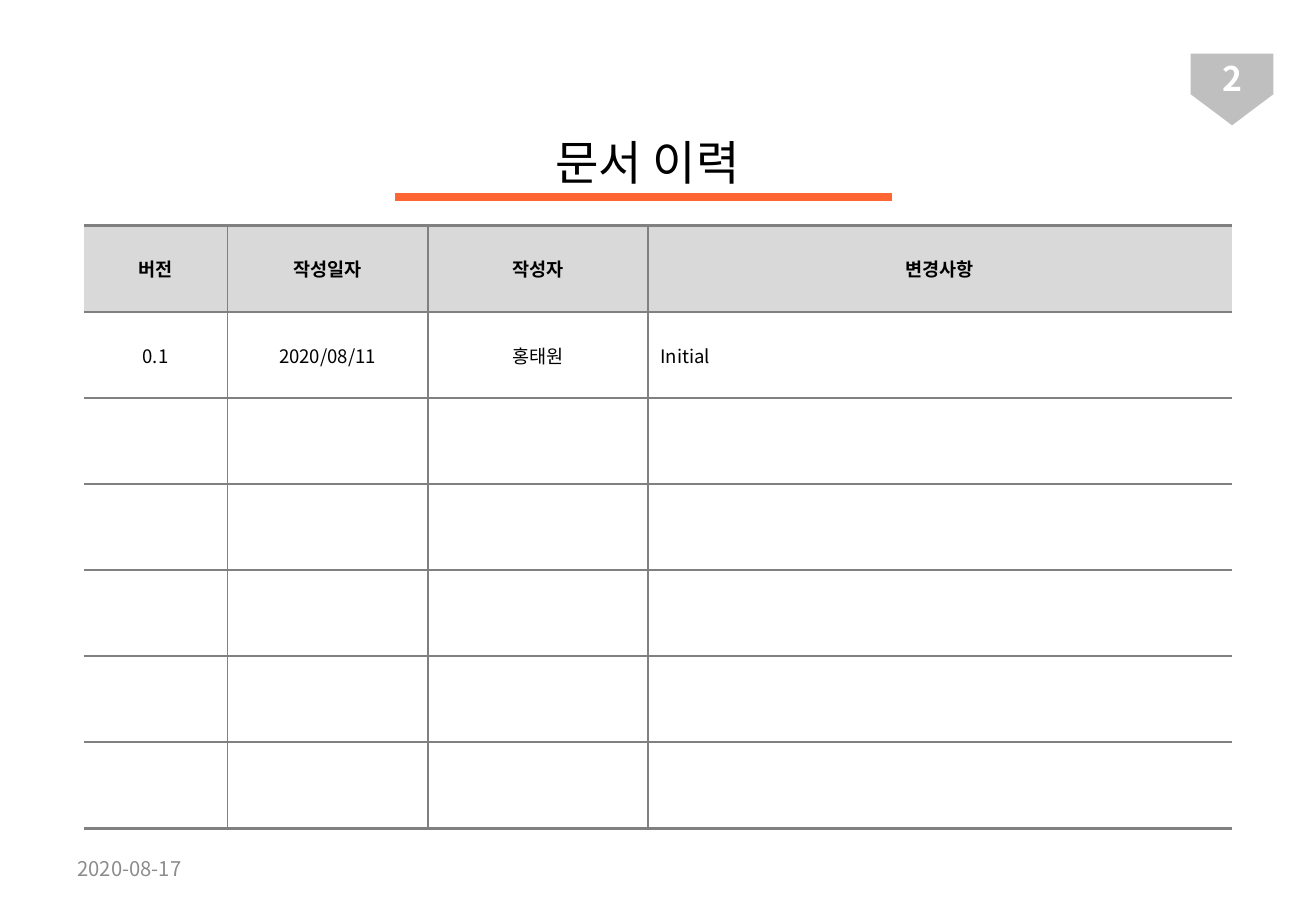
from dataclasses import dataclass

from lxml.etree import SubElement
from pptx import Presentation
from pptx.dml.color import RGBColor
from pptx.enum.shapes import MSO_CONNECTOR, MSO_SHAPE
from pptx.enum.text import MSO_ANCHOR, PP_ALIGN
from pptx.oxml.ns import qn
from pptx.util import Cm, Pt


@dataclass(frozen=True)
class Theme:
    font: str = "Noto Sans CJK KR"
    ink: str = "000000"
    white: str = "FFFFFF"
    muted: str = "8C8C8C"
    badge: str = "BFBFBF"
    accent: str = "FF6633"
    head: str = "D9D9D9"
    rule: str = "808080"
    title: int = 28
    page: int = 20
    date: int = 12
    body: int = 11
    thin: float = 1
    thick: float = 2.25
    bar: float = 5


theme = Theme()


def color(code):
    return RGBColor.from_string(code)


def write(frame, text, size=theme.body, ink=theme.ink, bold=False, align=PP_ALIGN.LEFT):
    para = frame.paragraphs[0]
    para.alignment = align
    run = para.add_run()
    run.text = text
    font = run.font
    font.name, font.size, font.bold = theme.font, Pt(size), bold
    font.color.rgb = color(ink)
    SubElement(font._element, qn("a:ea"), typeface=theme.font)


def label(slide, box, text, **form):
    frame = slide.shapes.add_textbox(*map(Cm, box)).text_frame
    frame.word_wrap = True
    frame.vertical_anchor = MSO_ANCHOR.MIDDLE
    write(frame, text, **form)


def block(slide, kind, box):
    shape = slide.shapes.add_shape(kind, *map(Cm, box))
    shape.shadow.inherit = False
    shape.fill.solid()
    shape.fill.fore_color.rgb = color(theme.badge)
    shape.line.fill.background()
    return shape


def badge(slide, box, text):
    left, top, width, height = box
    split = 0.85
    block(slide, MSO_SHAPE.RECTANGLE, (left, top, width, split))
    tip = block(slide, MSO_SHAPE.ISOSCELES_TRIANGLE, (left, top + split, width, height - split))
    tip.rotation = 180
    label(slide, (left, top, width, 1.02), text, size=theme.page,
          ink=theme.white, bold=True, align=PP_ALIGN.CENTER)


def heading(slide, box, text):
    left, top, width, height = box
    start, end, base = left + 4.04, left + 14.42, top + height
    bar = slide.shapes.add_connector(
        MSO_CONNECTOR.STRAIGHT, Cm(start), Cm(base), Cm(end), Cm(base))
    bar.line.color.rgb = color(theme.accent)
    bar.line.width = Pt(theme.bar)
    SubElement(bar._element.spPr, qn("a:effectLst"))
    label(slide, box, text, size=theme.title, align=PP_ALIGN.CENTER)


def border(cell, side, width):
    edge = SubElement(cell._tc.get_or_add_tcPr(), qn(f"a:ln{side}"), w=str(Pt(width)))
    if width:
        fill = SubElement(edge, qn("a:solidFill"))
        SubElement(fill, qn("a:srgbClr"), val=theme.rule)
    else:
        SubElement(edge, qn("a:noFill"))


def history(slide, box, parts, rows, count):
    left, top, width, height = box
    table = slide.shapes.add_table(count, len(parts), *map(Cm, box)).table
    table.first_row = table.horz_banding = False
    for col, part in zip(table.columns, parts):
        col.width = Cm(width * part / sum(parts))
    for row in table.rows:
        row.height = Cm(height / count)
    last = len(parts) - 1
    for y in range(count):
        for x in range(len(parts)):
            cell = table.cell(y, x)
            cell.vertical_anchor = MSO_ANCHOR.MIDDLE
            border(cell, "L", theme.thin if x else 0)
            border(cell, "R", theme.thin if x < last else 0)
            border(cell, "T", theme.thin if y else theme.thick)
            border(cell, "B", theme.thin if y < count - 1 else theme.thick)
            if y == 0:
                cell.fill.solid()
                cell.fill.fore_color.rgb = color(theme.head)
            else:
                cell.fill.background()
            if y < len(rows):
                center = y == 0 or x < last
                write(cell.text_frame, rows[y][x], bold=y == 0,
                      align=PP_ALIGN.CENTER if center else PP_ALIGN.LEFT)


def build():
    deck = Presentation()
    deck.slide_width, deck.slide_height = Cm(27.51), Cm(19.05)
    slide = deck.slides.add_slide(deck.slide_layouts[6])
    badge(slide, (24.89, 1.12, 1.73, 1.5), "2")
    heading(slide, (4.22, 2.62, 18.64, 1.5), "문서 이력")
    history(slide, (1.75, 4.72, 24, 12.6), (3, 4.2, 4.6, 12.2), [
        ("버전", "작성일자", "작성자", "변경사항"),
        ("0.1", "2020/08/11", "홍태원", "Initial"),
    ], 7)
    label(slide, (1.37, 17.65, 6.43, 1.02), "2020-08-17", size=theme.date, ink=theme.muted)
    deck.save("out.pptx")


build()
